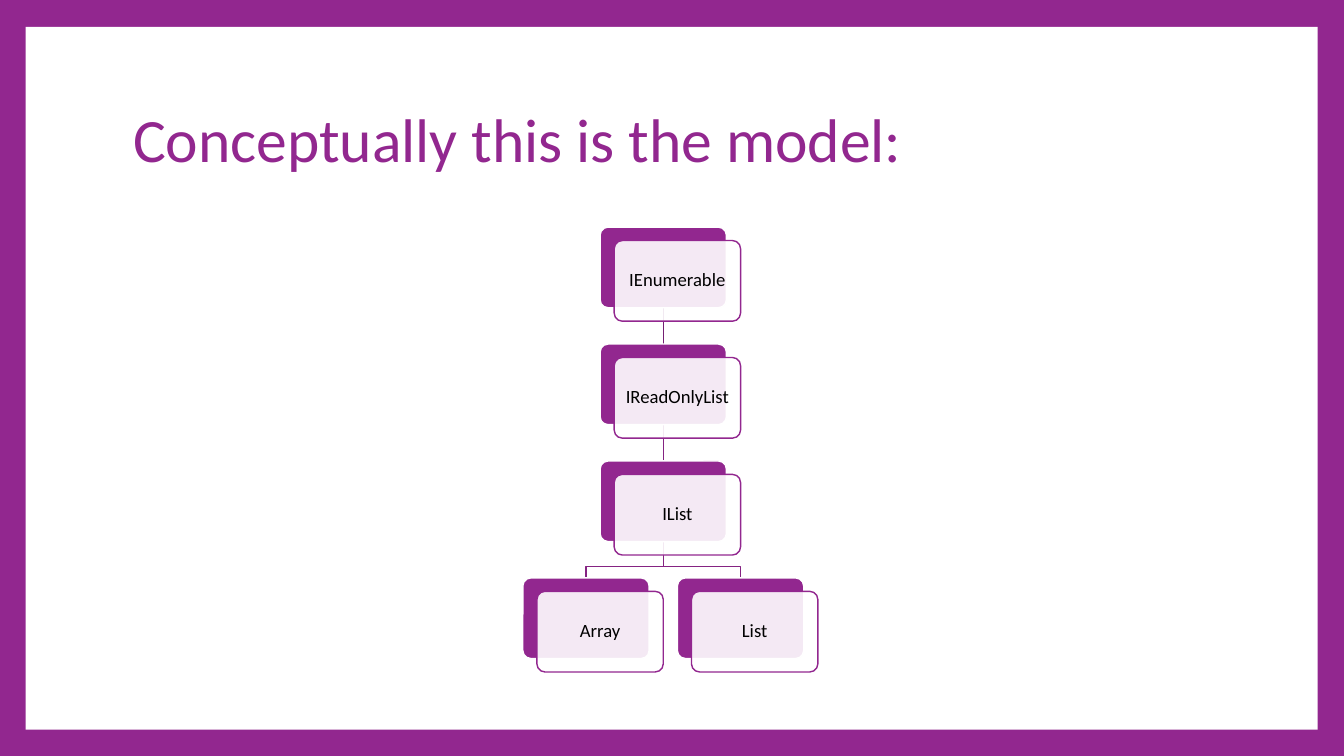
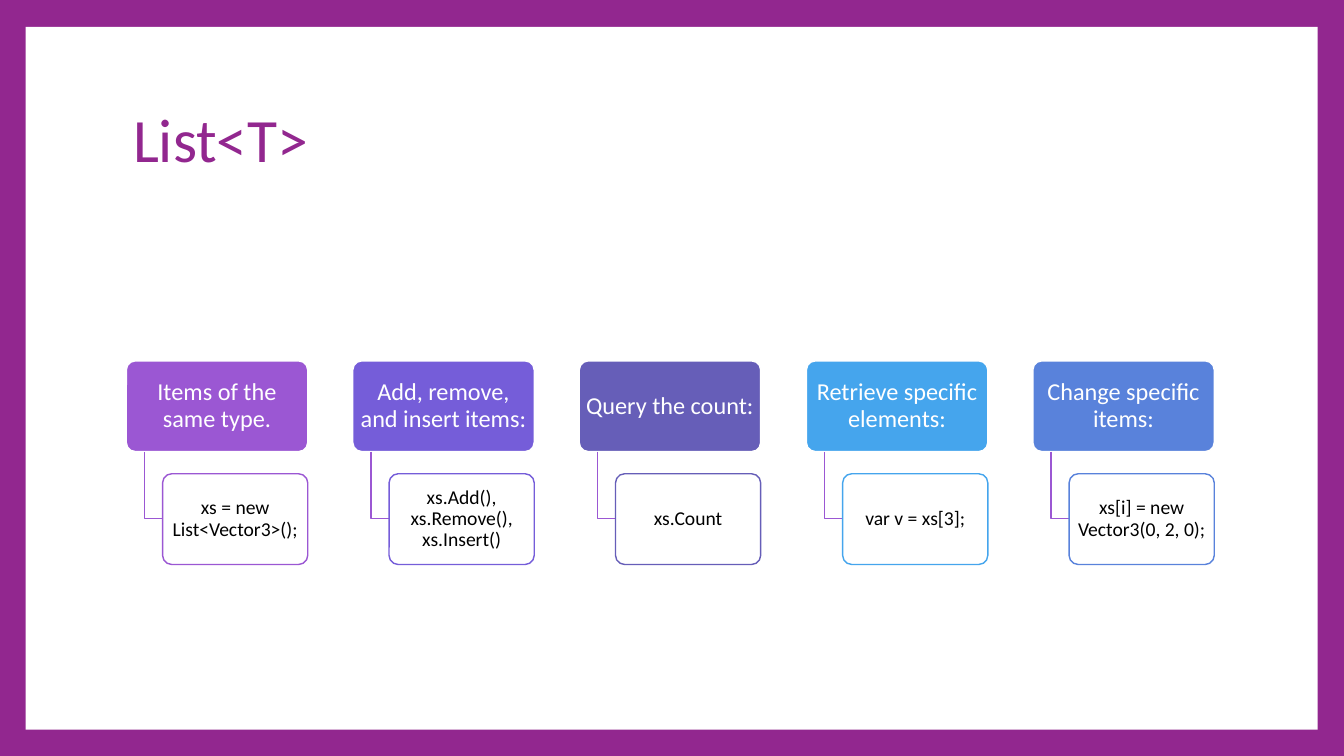
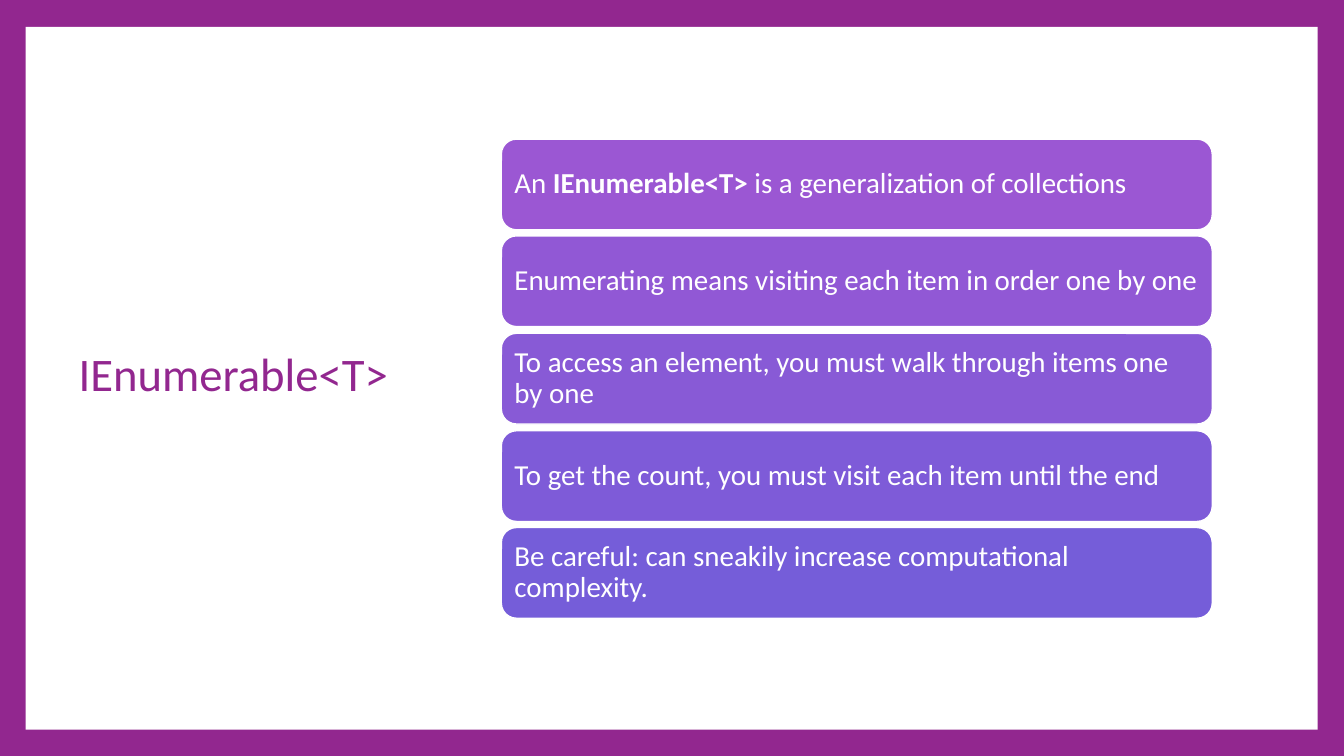
from dataclasses import dataclass

from lxml import etree
from pptx import Presentation
from pptx.dml.color import RGBColor
from pptx.enum.shapes import MSO_CONNECTOR, MSO_SHAPE
from pptx.enum.text import MSO_ANCHOR, MSO_AUTO_SIZE, PP_ALIGN
from pptx.oxml.ns import qn
from pptx.util import Pt

RECT, ROUND_RECT = MSO_SHAPE.RECTANGLE, MSO_SHAPE.ROUNDED_RECTANGLE
STRAIGHT = MSO_CONNECTOR.STRAIGHT
LEFT, CENTER = PP_ALIGN.LEFT, PP_ALIGN.CENTER
MIDDLE, NO_AUTOFIT = MSO_ANCHOR.MIDDLE, MSO_AUTO_SIZE.NONE

PX = 9144  # EMU per px, 100 px to the inch
SLIDE_W, SLIDE_H = 2000, 1125


@dataclass(frozen=True)
class Theme:
    font: str = "Calibri"
    accent: str = "92278F"
    white: str = "FFFFFF"
    black: str = "000000"
    first_link: str = "751F73"
    link: str = "852382"
    column_link: str = "9B57D3"
    columns: tuple = ("9B57D3", "755DD9", "665EB8", "45A5ED", "5982DB")
    bars: tuple = ("9B57D3", "9158D5", "885AD6", "7E5BD8", "755DD9")
    title: int = 66
    side_title: int = 50
    node: int = 20
    heading: int = 26
    code: int = 21
    bar: int = 31
    line: float = 1.5
    spacing: float = 0.9


T = Theme()

# Content
MODEL_TITLE = "Conceptually this is the model:"
MODEL_CHAIN = ["IEnumerable", "IReadOnlyList", "IList"]
MODEL_LEAVES = ["Array", "List"]

LIST_TITLE = "List<T>"
LIST_FEATURES = [
    ("Items of the same type.", "xs = new List<Vector3>();"),
    ("Add, remove, and insert items:", "xs.Add(), xs.Remove(), xs.Insert()"),
    ("Query the count:", "xs.Count"),
    ("Retrieve specific elements:", "var v = xs[3];"),
    ("Change specific items:", "xs[i] = new Vector3(0, 2, 0);"),
]

ENUMERABLE_TITLE = "IEnumerable<T>"
ENUMERABLE_FACTS = [
    [("An ", False), ("IEnumerable<T>", True),
     (" is a generalization of collections", False)],
    "Enumerating means visiting each item in order one by one",
    "To access an element, you must walk through items one by one",
    "To get the count, you must visit each item until the end",
    "Be careful: can sneakily increase computational complexity.",
]


# Helpers
def rgb(color):
    return RGBColor.from_string(color)


def px(*values):
    return [round(v * PX) for v in values]


def write(tf, text, size, color=T.black, align=CENTER, inset=None):
    """Fill a text frame with a string or a list of (text, bold) runs."""
    tf.word_wrap = True
    tf.auto_size = NO_AUTOFIT
    tf.vertical_anchor = MIDDLE
    if inset:
        side, edge = px(*inset)
        tf.margin_left = tf.margin_right = side
        tf.margin_top = tf.margin_bottom = edge
    p = tf.paragraphs[0]
    p.alignment = align
    p.line_spacing = T.spacing
    for part, bold in [(text, False)] if isinstance(text, str) else text:
        r = p.add_run()
        r.text = part
        r.font.name = T.font
        r.font.size = Pt(size)
        r.font.bold = bold
        r.font.color.rgb = rgb(color)


def add_box(slide, box, fill, line=None, kind=ROUND_RECT, corner=None, alpha=None):
    sp = slide.shapes.add_shape(kind, *px(*box))
    sp.shadow.inherit = False
    sp.fill.solid()
    sp.fill.fore_color.rgb = rgb(fill)
    if line:
        sp.line.color.rgb = rgb(line)
        sp.line.width = Pt(T.line)
    else:
        sp.line.fill.background()
    if corner is not None:
        sp.adjustments[0] = corner
    if alpha is not None:
        color = sp.element.spPr.find(qn("a:solidFill"))[0]
        etree.SubElement(color, qn("a:alpha")).set("val", str(alpha * 1000))
    return sp


def add_card(slide, box, line):
    return add_box(slide, box, T.white, line, corner=0.1, alpha=90)


def add_link(slide, points, color):
    """Join the points: a connector for two, an open outline for more."""
    points = [px(*point) for point in points]
    if len(points) == 2:
        sp = slide.shapes.add_connector(STRAIGHT, *points[0], *points[1])
        etree.SubElement(sp.element.spPr, qn("a:effectLst"))
    else:
        builder = slide.shapes.build_freeform(*points[0], scale=1.0)
        builder.add_line_segments(points[1:], close=False)
        sp = builder.convert_to_shape()
        sp.shadow.inherit = False
        sp.fill.background()
    sp.line.color.rgb = rgb(color)
    sp.line.width = Pt(T.line)


def add_slide(prs, title, box=(188, 100, 1620, 223), size=T.title):
    slide = prs.slides.add_slide(prs.slide_layouts[5])
    sp = slide.shapes.title
    sp.left, sp.top, sp.width, sp.height = px(*box)
    write(sp.text_frame, title, size, T.accent, LEFT)
    return slide


def frame_master(prs, slide):
    """Give the master its coloured border and white panel."""
    master = prs.slide_master
    master.background.fill.solid()
    master.background.fill.fore_color.rgb = rgb(T.accent)
    panel = add_box(slide, (38, 40, 1923, 1046), T.white, kind=RECT)
    master.shapes.element.insert(2, panel.element)


# Slides
def model_slide(prs):
    slide = add_slide(prs, MODEL_TITLE)
    left, top, w, h, step = 893, 338, 188, 120, 174
    spread, bend = 115, 37
    center = left + w // 2
    last = len(MODEL_CHAIN) - 1
    nodes = [(name, left, top + i * step) for i, name in enumerate(MODEL_CHAIN)]
    leaf_top = top + (last + 1) * step
    nodes += [(name, left + side * spread, leaf_top)
              for name, side in zip(MODEL_LEAVES, (-1, 1))]

    # Links lie behind the nodes
    fork = top + last * step + h
    for side in (1, -1):
        x = center + side * spread
        add_link(slide, [(center, fork), (center, fork + bend),
                         (x, fork + bend), (x, leaf_top)], T.link)
    for i in reversed(range(last)):
        y = top + i * step
        add_link(slide, [(center, y + h), (center, y + step)],
                 T.link if i else T.first_link)

    for name, x, y in nodes:
        add_box(slide, (x, y, w, h), T.accent, T.white, corner=0.1)
        card = add_card(slide, (x + 21, y + 20, w, h), T.accent)
        write(card.text_frame, name, T.node, inset=(8, 8))
    return slide


def list_slide(prs):
    slide = add_slide(prs, LIST_TITLE)
    left, span, w, h = 188, 1349, 270, 135
    head_top, card_top, indent = 537, 705, 54
    gaps = len(LIST_FEATURES) - 1
    for i, ((heading, code), color) in enumerate(zip(LIST_FEATURES, T.columns)):
        x = left + round(i * span / gaps)
        head = add_box(slide, (x, head_top, w, h), color, T.white, corner=0.1)
        write(head.text_frame, heading, T.heading, T.white, inset=(5, 4))
        stem, middle = x + indent // 2, card_top + h // 2
        add_link(slide, [(stem, head_top + h), (stem, middle),
                         (x + indent, middle)], T.column_link)
        card = add_card(slide, (x + indent, card_top, w - indent, h), color)
        write(card.text_frame, code, T.code, inset=(4, 3))


def enumerable_slide(prs):
    slide = add_slide(prs, ENUMERABLE_TITLE, (107, 100, 552, 920), T.side_title)
    top, span = 207, 578
    gaps = len(ENUMERABLE_FACTS) - 1
    for i, (fact, color) in enumerate(zip(ENUMERABLE_FACTS, T.bars)):
        y = top + round(i * span / gaps)
        bar = add_box(slide, (746, y, 1058, 135), color, T.white)
        write(bar.text_frame, fact, T.bar, T.white, LEFT, inset=(13, 13))


def main():
    prs = Presentation()
    prs.slide_width, prs.slide_height = px(SLIDE_W, SLIDE_H)
    frame_master(prs, model_slide(prs))
    list_slide(prs)
    enumerable_slide(prs)
    prs.save("out.pptx")


if __name__ == "__main__":
    main()
